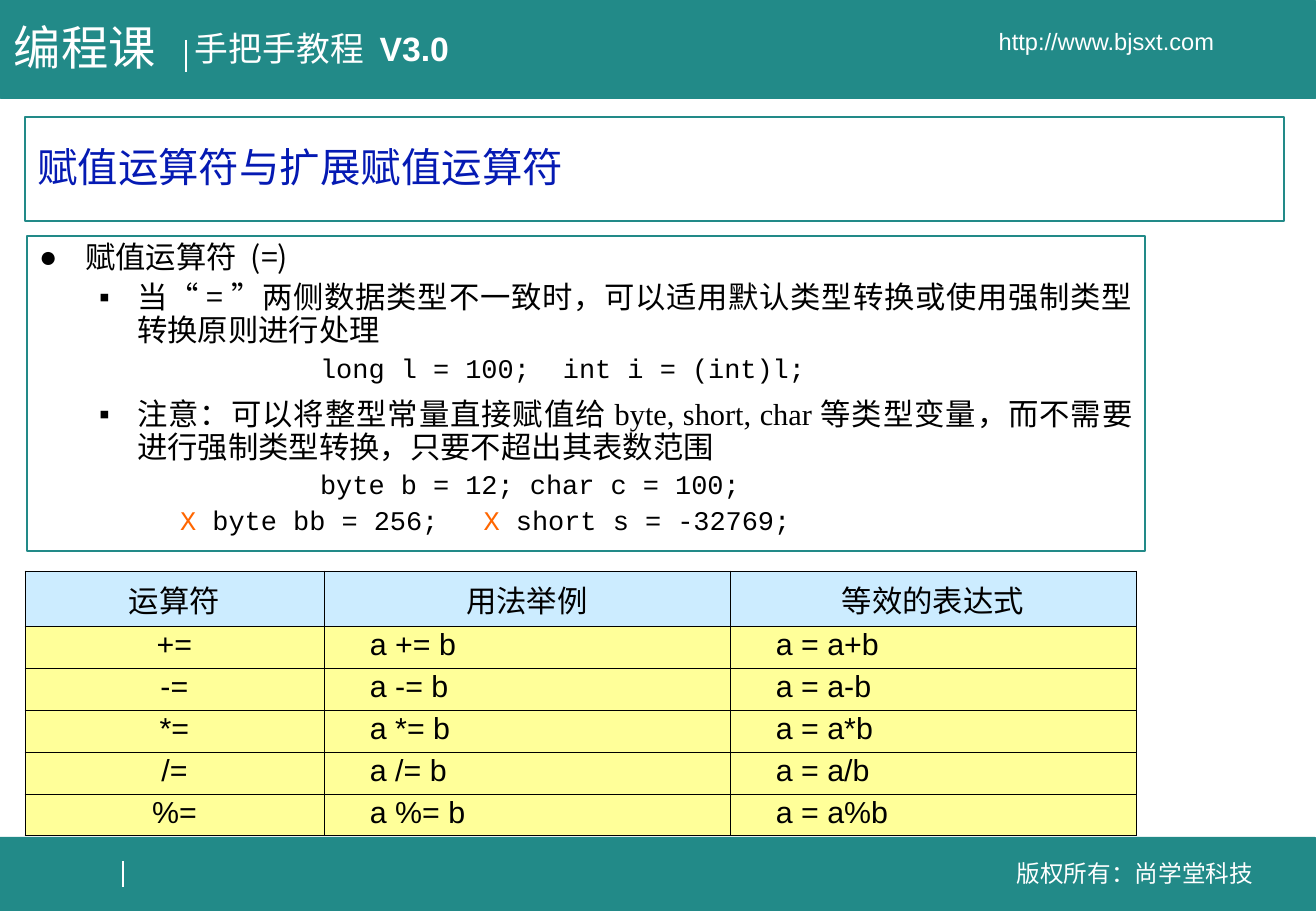
"""Build the slide on assignment operators."""
from dataclasses import dataclass
from lxml import etree
from pptx import Presentation
from pptx import util as u
from pptx.dml.color import RGBColor
from pptx.enum import shapes, text
from pptx.oxml.ns import qn

SCALE = 7532
TEAL = RGBColor(0x22, 0x8A, 0x88)
WHITE = RGBColor(0xFF, 0xFF, 0xFF)
BLACK = RGBColor(0, 0, 0)
BLUE = RGBColor(0x05, 0x1A, 0xB3)
ORANGE = RGBColor(0xFF, 0x66, 0x00)
SKY = RGBColor(0xCC, 0xEC, 0xFF)
YELLOW = RGBColor(0xFF, 0xFF, 0x99)
SANS, SERIF, MONO, CJK = "Arial", "Times New Roman", "Courier New", "Noto Sans CJK SC"
LEFT, MID, JUST = text.PP_ALIGN.LEFT, text.PP_ALIGN.CENTER, text.PP_ALIGN.JUSTIFY


@dataclass
class Run:
    words: str
    size: float = 18
    face: str = CJK
    color: RGBColor = BLACK
    bold: bool = False


@dataclass
class Label:
    box: tuple[int, int, int, int]
    runs: list[Run]
    align: text.PP_ALIGN = LEFT


@dataclass
class Item:
    runs: list[Run]
    left: int
    hang: int = 0
    mark: str = ""
    before: float = 0
    tab: int = 0
    level: int = 1


def px(n: int) -> int:
    return u.Emu(n * SCALE)


def place(shape, box: tuple[int, int, int, int]) -> None:
    shape.left, shape.top, shape.width, shape.height = map(px, box)


def node(base, tag: str, **attrs: str):
    return etree.SubElement(base, qn(tag), attrs)


def write(para, runs: list[Run]) -> None:
    for part in runs:
        run = para.add_run()
        run.text = part.words
        font = run.font
        font.size, font.name, font.bold = u.Pt(part.size), part.face, part.bold
        font.color.rgb = part.color
        node(font._element, "a:ea", typeface=CJK)


def add_bar(slide, box: tuple[int, int, int, int]) -> None:
    bar = slide.shapes.add_shape(shapes.MSO_SHAPE.RECTANGLE, *map(px, box))
    bar.shadow.inherit = False
    bar.fill.solid()
    bar.fill.fore_color.rgb = bar.line.color.rgb = TEAL
    bar.line.width = u.Pt(0.25)


def add_rule(slide, x: int, top: int, end: int) -> None:
    rule = slide.shapes.add_connector(
        shapes.MSO_CONNECTOR.STRAIGHT, px(x), px(top), px(x), px(end))
    rule.line.color.rgb = WHITE
    rule.line.width = u.Pt(0.75)
    node(rule._element.spPr, "a:effectLst")


def add_label(slide, label: Label) -> None:
    frame = slide.shapes.add_textbox(*map(px, label.box)).text_frame
    frame.word_wrap = True
    para = frame.paragraphs[0]
    para.alignment = label.align
    write(para, label.runs)


def frame_up(holder, box: tuple[int, int, int, int], width: float, anchor):
    place(holder, box)
    holder.line.color.rgb = TEAL
    holder.line.width = u.Pt(width)
    frame = holder.text_frame
    frame.auto_size = text.MSO_AUTO_SIZE.NONE
    frame.word_wrap = True
    frame.vertical_anchor = anchor
    return frame


def fill_list(frame, items: list[Item]) -> None:
    for i, item in enumerate(items):
        para = frame.add_paragraph() if i else frame.paragraphs[0]
        para.level = item.level
        para.alignment = JUST if item.mark else LEFT
        para.line_spacing = 0.9
        para.space_before = u.Pt(item.before)
        props = para._p.get_or_add_pPr()
        props.set("marL", str(px(item.left)))
        props.set("indent", str(px(-item.hang)))
        if item.mark:
            node(node(props, "a:buClr"), "a:srgbClr", val=str(BLACK))
            node(props, "a:buFont", typeface=SANS)
            node(props, "a:buChar", char=item.mark)
        else:
            node(props, "a:buNone")
        if item.tab:
            node(node(props, "a:tabLst"), "a:tab", pos=str(px(item.tab)), algn="l")
        write(para, item.runs)


def fill_cell(cell, words: str, head: bool, first: bool) -> None:
    cell.fill.solid()
    cell.fill.fore_color.rgb = SKY if head else YELLOW
    cell.vertical_anchor = text.MSO_ANCHOR.MIDDLE
    cell.margin_left = px(12 if head or first else 46)
    para = cell.text_frame.paragraphs[0]
    para.alignment = MID if head or first else LEFT
    para.line_spacing = 1.0 if head else 0.8
    para.space_after = u.Pt(4.5)
    write(para, [Run(words, face=CJK if head else SANS)])
    props = cell._tc.get_or_add_tcPr()
    for i, side in enumerate("LRTB"):
        edge = etree.Element(qn(f"a:ln{side}"), w=str(u.Pt(0.45)))
        node(node(edge, "a:solidFill"), "a:srgbClr", val=str(BLACK))
        props.insert(i, edge)


def add_grid(slide) -> None:
    rows = [("运算符", "用法举例", "等效的表达式")]
    rows += [(f"{op}=", f"a {op}= b", f"a = a{op}b") for op in "+-*/%"]
    widths, tall = (299, 406, 406), [55] + [42] * 5
    box = (25, 571, sum(widths), sum(tall))
    grid = slide.shapes.add_table(len(rows), len(widths), *map(px, box)).table
    for col, wide in zip(grid.columns, widths):
        col.width = px(wide)
    for r, row in enumerate(rows):
        grid.rows[r].height = px(tall[r])
        for c, words in enumerate(row):
            fill_cell(grid.cell(r, c), words, r == 0, c == 0)


def code(words: str, color: RGBColor = BLACK) -> Run:
    return Run(words, 16, MONO, color)


LABELS = [
    Label((183, 22, 300, 53), [Run("手把手教程 ", 20, SANS, WHITE),
                               Run("V3.0", 20, SANS, WHITE, True)]),
    Label((982, 853, 306, 41), [Run("版权所有：尚学堂科技", 14, SANS, WHITE)], MID),
    Label((898, 21, 417, 41), [Run("http://www.bjsxt.com", 14, SANS, WHITE)], MID),
    Label((2, 12, 180, 69), [Run("编程课", 28, SANS, WHITE)]),
]
ITEMS = [
    Item([Run("赋值运算符 (=)")], 46, 46, "●", level=0),
    Item([Run("当“=”两侧数据类型不一致时，可以适用默认类型转换或使用强制类型转换原则进行处理")],
         98, 38, "▪", 4.5),
    Item([code("long l = 100;\tint i = (int)l;")], 281, before=4, tab=604),
    Item([Run("注意：可以将整型常量直接赋值给"), Run("byte, short, char", face=SERIF),
          Run("等类型变量，而不需要进行强制类型转换，只要不超出其表数范围")], 98, 38, "▪", 9),
    Item([code("byte b = 12; char c = 100;")], 281, before=4),
    Item([code("X", ORANGE), code(" byte bb = 256;\t"), code("X", ORANGE),
          code(" short s = -32769;")], 141, before=4, tab=480),
]


def main() -> None:
    deck = Presentation()
    deck.slide_width, deck.slide_height = px(1316), px(911)
    slide = deck.slides.add_slide(deck.slide_layouts[1])
    for box in ((0, 837, 1315, 74), (0, 0, 1315, 98)):
        add_bar(slide, box)
    add_rule(slide, 186, 40, 72)
    add_rule(slide, 123, 861, 887)
    for label in LABELS:
        add_label(slide, label)
    title, body = slide.placeholders
    head = frame_up(title, (25, 117, 1259, 104), 0.75, text.MSO_ANCHOR.MIDDLE)
    head.paragraphs[0].alignment = LEFT
    head.paragraphs[0].line_spacing = 0.9
    write(head.paragraphs[0], [Run("赋值运算符与扩展赋值运算符", 24, SANS, BLUE)])
    fill_list(frame_up(body, (27, 236, 1118, 315), 1, text.MSO_ANCHOR.TOP), ITEMS)
    add_grid(slide)
    deck.save("out.pptx")


if __name__ == "__main__":
    main()
